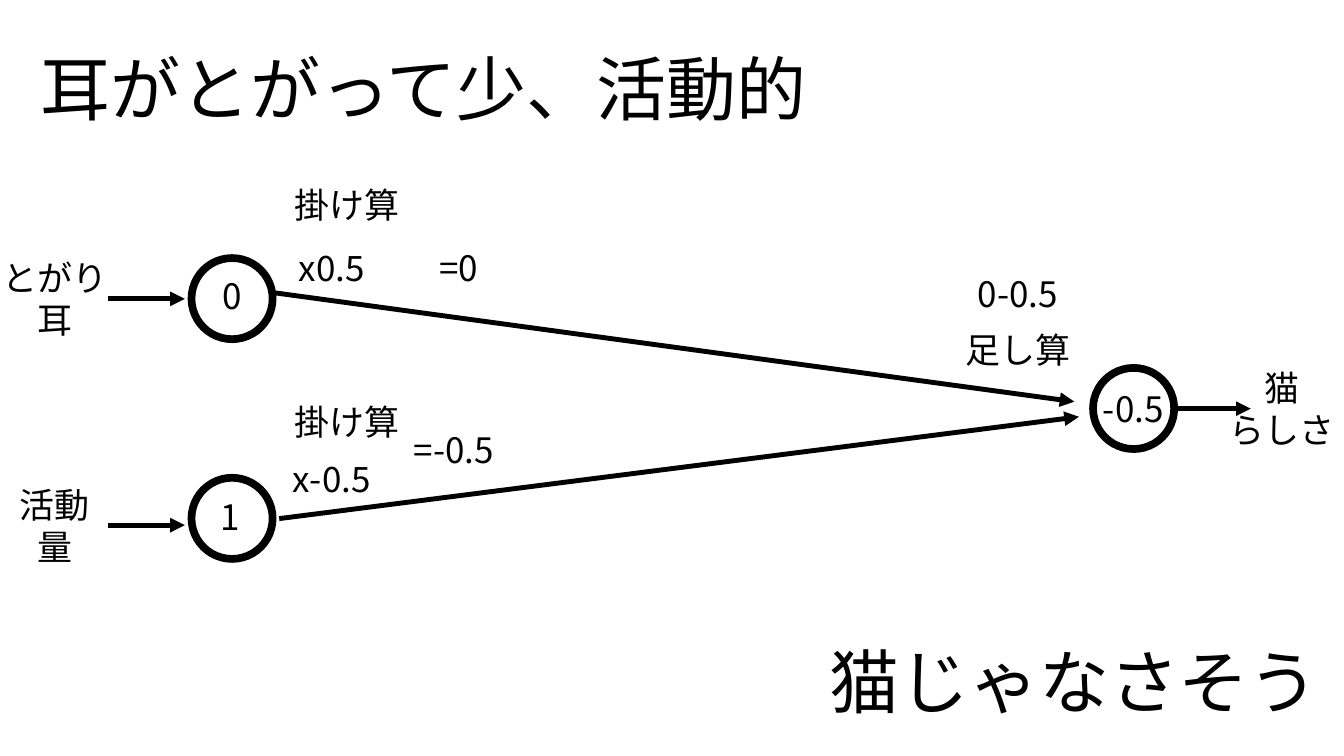
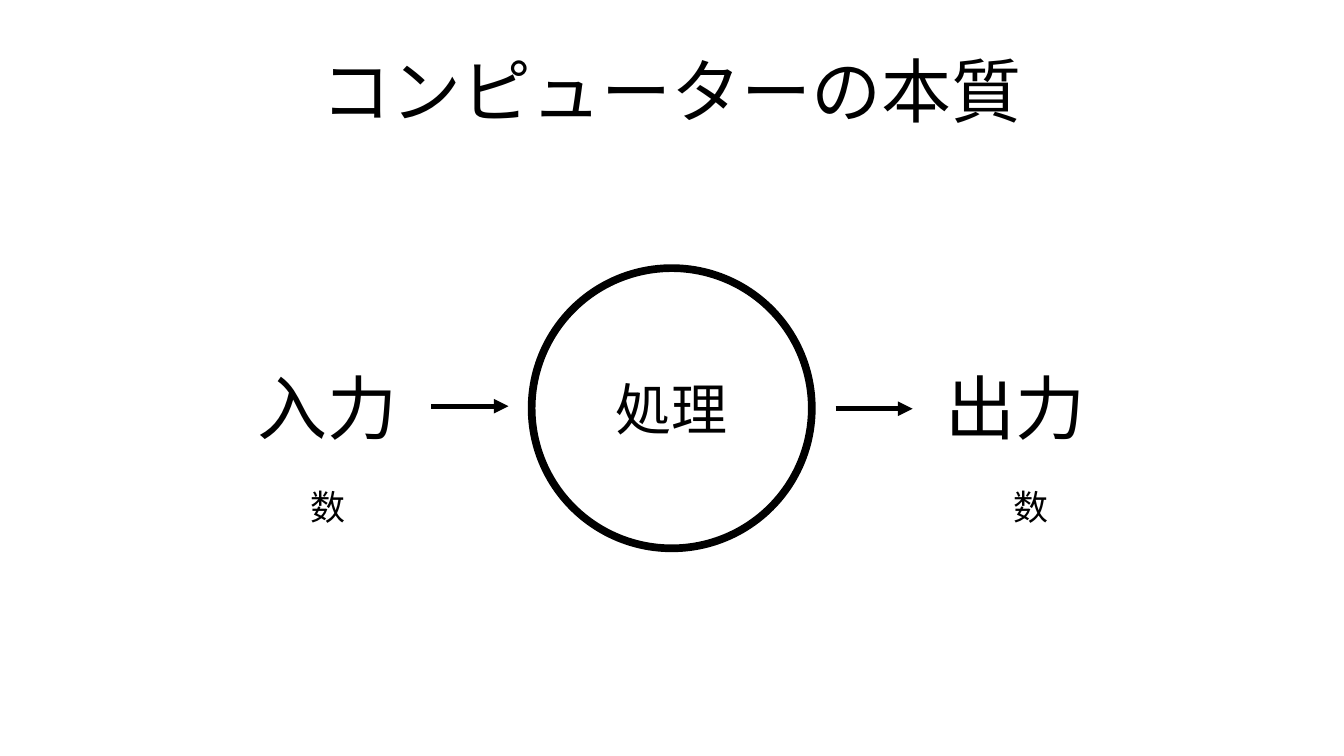
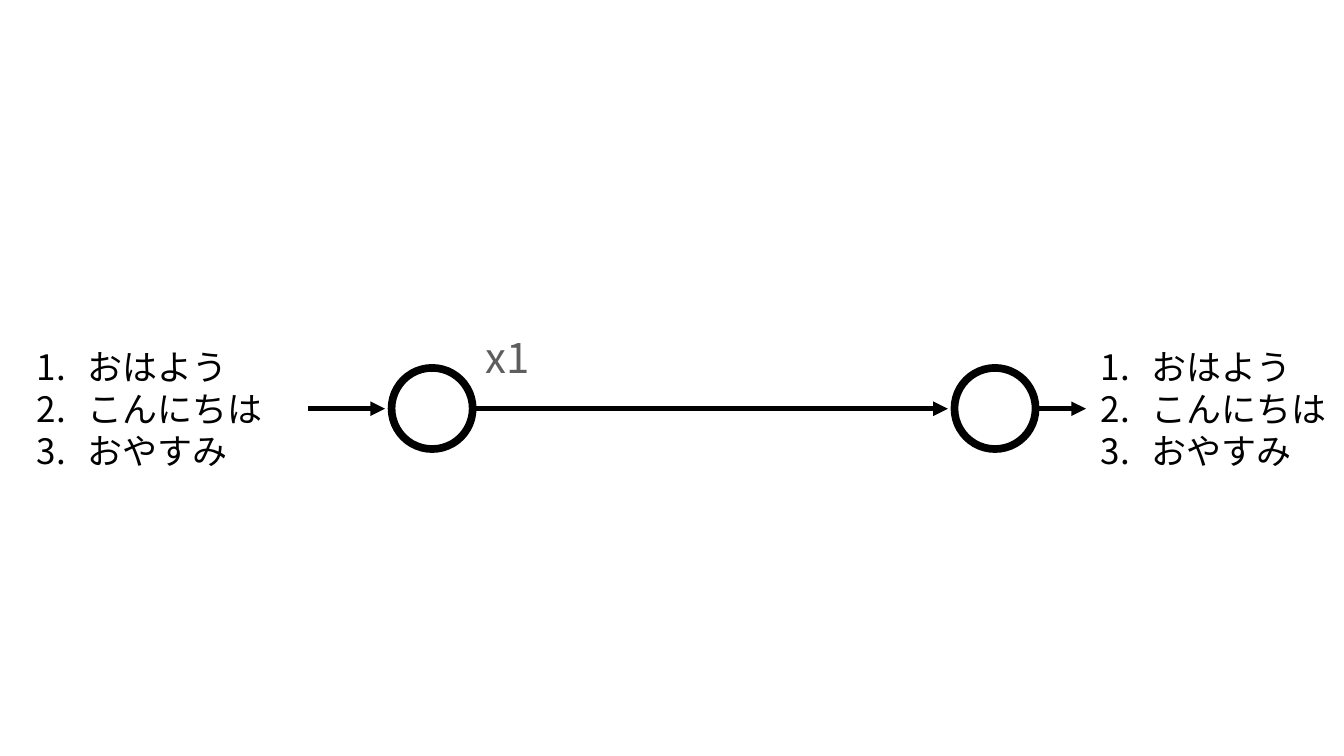
from dataclasses import dataclass

from lxml.etree import SubElement
from pptx import Presentation
from pptx.dml.color import RGBColor
from pptx.enum.shapes import MSO_CONNECTOR, MSO_SHAPE
from pptx.enum.text import MSO_ANCHOR, MSO_AUTO_SIZE, PP_ALIGN
from pptx.oxml.ns import qn
from pptx.util import Inches, Pt


@dataclass(frozen=True)
class Theme:
    font: str = "Noto Sans CJK JP"
    ink: RGBColor = RGBColor(0, 0, 0)
    paper: RGBColor = RGBColor(255, 255, 255)
    grey: RGBColor = RGBColor(0x5E, 0x5E, 0x5E)
    title: int = 100
    process: int = 80
    weight: int = 60
    label: int = 50
    ring: int = 11
    arrow: int = 7


THEME = Theme()
INSET = 0.08
NODE = 1.61
ARROW = 1.53
MIDDLE = 8.11
TITLE_ONLY, TWO_CONTENT = 5, 3

# Labels: text, left, top, width
NETWORK = {
    "title": ("耳がとがって少、活動的", 0.7, 0.96, 15.41),
    "nodes": [(3.8, 5.12), (3.8, 9.48), (21.69, 7.3)],
    "arrows": [
        (2.14, 5.93, 2.14 + ARROW, 5.93),
        (2.14, 10.42, 2.14 + ARROW, 10.42),
        (23.29, MIDDLE, 23.29 + ARROW, MIDDLE),
        (5.45, 5.81, 21.32, 7.97),
        (5.54, 10.29, 21.41, 8.27),
    ],
    "labels": [
        ("とがり\n耳", -0.03, 4.98, 2.25),
        ("活動\n量", 0.31, 9.47, 1.56),
        ("猫\nらしさ", 24.31, 7.16, 2.25),
        ("0", 4.29, 5.44, 0.63),
        ("1", 4.26, 9.82, 0.63),
        ("-0.5", 21.74, 7.68, 1.5),
        ("x0.5", 5.77, 4.89, 1.62),
        ("x-0.5", 5.65, 9.06, 1.87),
        ("足し算", 19.07, 6.51, 2.25),
        ("掛け算", 5.76, 3.63, 2.25),
        ("掛け算", 5.76, 7.93, 2.25),
        ("=0", 8.56, 4.89, 1.08),
        ("=-0.5", 8.03, 8.49, 1.95),
        ("0-0.5", 19.22, 5.4, 1.95),
    ],
    "conclusion": ("猫じゃなさそう", 16.37, 12.73, 9.89),
}
COMPUTER = {
    "title": ("コンピューターの本質", 6.3, 1.01, 14.06),
    "process": ("処理", 10.55, 5.32, 5.56),
    "arrows": [(8.56, 8.06, 8.56 + ARROW, 8.06),
               (16.58, MIDDLE, 16.58 + ARROW, MIDDLE)],
    "ends": [("入力", 5.03, 7.29, 2.95), ("出力", 18.68, 7.29, 2.95)],
    "labels": [("数", 6.08, 9.63, 0.86), ("数", 20.02, 9.63, 0.86)],
}
GREETINGS = {
    "words": "おはよう\nこんにちは\nおやすみ",
    "list_lefts": [0.65, 21.76],
    "nodes": [(7.77, 7.3), (18.94, 7.3)],
    "arrow_spans": [(6.11, 7.64), (20.54, 21.55), (9.37, 18.81)],
    "weight": ("x1", 9.51, 6.61, 1.12),
}


def set_attributes(target, values):
    for name, value in values.items():
        setattr(target, name, value)


def write(box, text, size, color=THEME.ink, align=PP_ALIGN.CENTER, inset=INSET):
    frame = box.text_frame
    frame.text = text
    frame.vertical_anchor = MSO_ANCHOR.MIDDLE
    for side in ("left", "top", "right", "bottom"):
        setattr(frame, f"margin_{side}", Inches(inset))
    for para in frame.paragraphs:
        set_attributes(para, {"alignment": align, "space_before": Pt(0)})
        for span in para.runs:
            set_attributes(span.font, {"name": THEME.font, "size": Pt(size)})
            span.font.color.rgb = color
            east_asian = SubElement(span.font._element, qn("a:ea"))
            east_asian.set("typeface", THEME.font)


def place_text(box, label, size, **style):
    """Write an unwrapped label in a box whose height follows its lines."""
    text, left, top, width = label
    inset = style.get("inset", INSET)
    height = 2 * inset + size / 72 * (1 + 1.5 * text.count("\n"))
    set_attributes(box, {"left": Inches(left), "top": Inches(top),
                         "width": Inches(width), "height": Inches(height)})
    write(box, text, size, **style)
    set_attributes(box.text_frame, {"word_wrap": False,
                                    "auto_size": MSO_AUTO_SIZE.SHAPE_TO_FIT_TEXT})


def add_label(page, label, size=THEME.label, **style):
    place_text(page.shapes.add_textbox(0, 0, 0, 0), label, size, **style)


def add_node(page, left, top, size=NODE):
    node = page.shapes.add_shape(MSO_SHAPE.OVAL, Inches(left), Inches(top),
                                 Inches(size), Inches(size))
    node.shadow.inherit = False
    node.fill.background()
    node.line.color.rgb = THEME.ink
    node.line.width = Pt(THEME.ring)
    return node


def add_arrow(page, *ends):
    arrow = page.shapes.add_connector(MSO_CONNECTOR.STRAIGHT, *map(Inches, ends))
    arrow.line.color.rgb = THEME.ink
    arrow.line.width = Pt(THEME.arrow)
    SubElement(arrow.line._get_or_add_ln(), qn("a:tailEnd")).set("type", "triangle")
    SubElement(arrow._element.spPr, qn("a:effectLst"))


def number_paragraphs(box):
    for para in box.text_frame.paragraphs:
        properties = para._p.get_or_add_pPr()
        properties.set("marL", str(Inches(1.01)))
        properties.set("indent", str(Inches(-1.01)))
        SubElement(properties, qn("a:buFont")).set("typeface", THEME.font)
        SubElement(properties, qn("a:buAutoNum")).set("type", "arabicPeriod")


def add_page(deck, layout):
    page = deck.slides.add_slide(deck.slide_layouts[layout])
    page.background.fill.solid()
    page.background.fill.fore_color.rgb = THEME.paper
    return page


def build_network(deck):
    page = add_page(deck, TITLE_ONLY)
    place_text(page.shapes.title, NETWORK["title"], THEME.title)
    for corner in NETWORK["nodes"]:
        add_node(page, *corner)
    for ends in NETWORK["arrows"]:
        add_arrow(page, *ends)
    for label in NETWORK["labels"]:
        add_label(page, label)
    add_label(page, NETWORK["conclusion"], THEME.title)


def build_computer(deck):
    page = add_page(deck, TITLE_ONLY)
    place_text(page.shapes.title, COMPUTER["title"], THEME.title)
    for ends in COMPUTER["arrows"]:
        add_arrow(page, *ends)
    for label in COMPUTER["ends"]:
        add_label(page, label, THEME.title)
    text, *circle = COMPUTER["process"]
    process = add_node(page, *circle)
    process.fill.solid()
    process.fill.fore_color.rgb = THEME.paper
    write(process, text, THEME.process)
    for label in COMPUTER["labels"]:
        add_label(page, label)


def build_greetings(deck):
    page = add_page(deck, TWO_CONTENT)
    title, *lists = page.placeholders
    title._element.getparent().remove(title._element)
    for box, left in zip(lists, GREETINGS["list_lefts"]):
        place_text(box, (GREETINGS["words"], left, 6.64, 4.66), THEME.label,
                   align=PP_ALIGN.LEFT)
        number_paragraphs(box)
    for corner in GREETINGS["nodes"]:
        add_node(page, *corner)
    for start, end in GREETINGS["arrow_spans"]:
        add_arrow(page, start, MIDDLE, end, MIDDLE)
    add_label(page, GREETINGS["weight"], THEME.weight, color=THEME.grey, inset=0.06)


def main():
    deck = Presentation()
    set_attributes(deck, {"slide_width": Inches(26.67), "slide_height": Inches(15)})
    for build in (build_network, build_computer, build_greetings):
        build(deck)
    deck.save("out.pptx")


if __name__ == "__main__":
    main()
